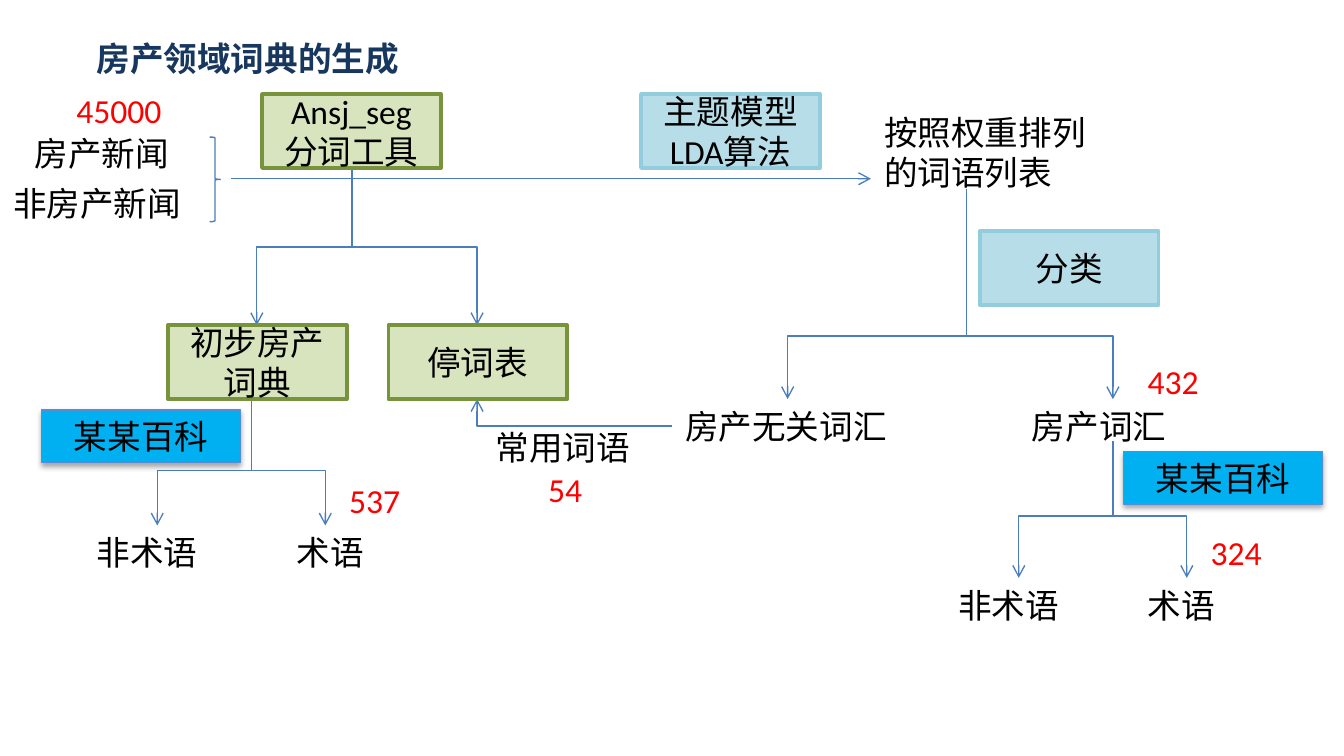
from lxml.etree import SubElement
from pptx import Presentation
from pptx.dml.color import RGBColor
from pptx.enum.shapes import MSO_CONNECTOR as Link, MSO_SHAPE as Preset
from pptx.enum.text import MSO_ANCHOR as Anchor, PP_ALIGN as Align
from pptx.oxml.ns import qn
from pptx.util import Inches, Pt

# All lengths count columns and rows of a square grid, ten columns to a 16:9 slide.
COLUMNS = 10
ROWS = COLUMNS * 9 / 16
CELL = Inches(10) / COLUMNS
LINE_HEIGHT = 0.4
BOX_SIZE, SOURCE_SIZE = (1.33, 0.55), (1.48, 0.39)

COLORS = {
    "title": "17375E", "text": "000000", "count": "FF0000", "link": "4B7EBC",
    "segment": "D7E4BD", "segment_edge": "77933C",
    "topic": "B7DEE8", "topic_edge": "93CDDD",
    "source": "00B0F0", "source_edge": "558ED5",
}
LATIN, CJK = "Calibri", "Noto Sans CJK SC"

TITLE = ("房产领域词典的生成", 0.62, 0.23, 2.47)
LABELS = [  # text, left, top, width, height
    ("房产新闻", 0.16, 0.94, 1.41, LINE_HEIGHT),
    ("非房产新闻", 0, 1.31, 1.8, LINE_HEIGHT),
    ("按照权重排列的词语列表", 6.48, 0.78, 1.8, 0.71),
    ("房产无关词汇", 5, 2.97, 1.8, LINE_HEIGHT),
    ("房产词汇", 7.58, 2.97, 1.41, LINE_HEIGHT),
    ("常用词语", 3.59, 3.13, 1.8, LINE_HEIGHT),
    ("非术语", 0.62, 3.91, 1.09, LINE_HEIGHT),
    ("术语", 2.11, 3.91, 0.86, LINE_HEIGHT),
    ("非术语", 7.03, 4.3, 1.09, LINE_HEIGHT),
    ("术语", 8.44, 4.3, 0.86, LINE_HEIGHT),
]
COUNT_WIDTH = 1.25
COUNTS = [  # text, left, top
    ("45000", 0.47, 0.62),
    ("432", 8.44, 2.64),
    ("54", 3.98, 3.44),
    ("324", 8.91, 3.91),
    ("537", 2.5, 3.52),
]
BOXES = [  # text, left, top, kind
    ("Ansj_seg分词工具", 1.95, 0.7, "segment"),
    ("初步房产词典", 1.25, 2.42, "segment"),
    ("停词表", 2.89, 2.42, "segment"),
    ("主题模型LDA算法", 4.77, 0.7, "topic"),
    ("分类", 7.29, 1.72, "topic"),
    ("某某百科", 8.36, 3.36, "source"),
    ("某某百科", 0.31, 3.05, "source"),
]
NEWS_BRACE = (1.56, 1.02, 0.08, 0.63)
NEWS_TO_LIST = (1.72, 1.33, 6.48, 1.33)
COMMON_TO_STOPWORDS = (5, 3.17, 3.55, 2.97)
FORKS = [  # stem column, bend row, branches (stem top, end column, end row)
    (2.62, 1.84, [(1.25, 1.91, 2.42), (1.25, 3.55, 2.42)]),
    (7.19, 2.5, [(1.41, 5.86, 2.97), (1.48, 8.28, 2.97)]),
    (8.28, 3.84, [(3.37, 7.58, 4.3), (3.28, 8.83, 4.3)]),
    (1.87, 3.5, [(2.97, 1.17, 3.91), (2.97, 2.42, 3.91)]),
]


def grid(*cells):
    return [round(cell * CELL) for cell in cells]


def color(name):
    return RGBColor.from_string(COLORS[name])


def write(shape, text, ink="text", font=LATIN, **formats):
    paragraph = shape.text_frame.paragraphs[0]
    run = paragraph.add_run()
    run.text = text
    run.font.color.rgb = color(ink)
    for key, value in {"name": font, "size": Pt(18), **formats}.items():
        setattr(run.font, key, value)
    SubElement(run.font._element, qn("a:ea"), typeface=CJK)
    return paragraph


def add_label(text, left, top, width, height=LINE_HEIGHT, wrap=True, **formats):
    label = shapes.add_textbox(*grid(left, top, width, height))
    label.text_frame.word_wrap = wrap
    write(label, text, **formats)


def cast_shadow(shape):
    shadow = SubElement(shape._element.spPr.find(qn("a:effectLst")), qn("a:outerShdw"),
                        blurRad=str(Pt(3.1)), dist=str(Pt(1.8)), dir="5400000", rotWithShape="0")
    ink = SubElement(shadow, qn("a:srgbClr"), val="000000")
    SubElement(ink, qn("a:alpha"), val="35000")


def add_box(text, left, top, kind):
    is_source = kind == "source"
    size = SOURCE_SIZE if is_source else BOX_SIZE
    box = shapes.add_shape(Preset.FLOWCHART_PROCESS, *grid(left, top, *size))
    box.shadow.inherit = False
    box.fill.solid()
    box.fill.fore_color.rgb = color(kind)
    box.line.color.rgb = color(kind + "_edge")
    box.line.width = Pt(0.75 if is_source else 2)
    box.text_frame.word_wrap = True
    box.text_frame.vertical_anchor = Anchor.MIDDLE
    write(box, text).alignment = Align.CENTER
    if is_source:
        cast_shadow(box)


def add_arrow(kind, *ends):
    arrow = shapes.add_connector(kind, *grid(*ends))
    arrow.line.color.rgb = color("link")
    arrow.line.width = Pt(0.75)
    SubElement(arrow.line._get_or_add_ln(), qn("a:tailEnd"), type="arrow")
    SubElement(arrow._element.spPr, qn("a:effectLst"))
    return arrow


def turn(arrow, degrees):
    arrow._element.spPr.find(qn("a:xfrm")).set("rot", str(degrees * 60000))


def add_branch(x, bend, y, end_x, end_y):
    """Arrow that runs down, across at the bend row, then down again."""
    middle_x, middle_y = (x + end_x) / 2, (y + end_y) / 2
    half_run, half_rise = (end_y - y) / 2, abs(end_x - x) / 2
    side = 1 if end_x > x else -1
    arrow = add_arrow(Link.ELBOW, middle_x + side * half_run, middle_y - half_rise,
                      middle_x - side * half_run, middle_y + half_rise)
    turn(arrow, 270 if side > 0 else 90)
    share = round((bend - y) / (end_y - y) * 100000)
    guides = arrow._element.spPr.find(qn("a:prstGeom")).get_or_add_avLst()
    SubElement(guides, qn("a:gd"), name="adj1", fmla=f"val {share}")


def add_corner(x, y, end_x, end_y):
    """Arrow that runs left, then up."""
    arrow = add_arrow(Link.ELBOW, end_x, end_y, x, y)
    arrow._element.spPr.find(qn("a:prstGeom")).set("prst", "bentConnector2")
    turn(arrow, 180)


deck = Presentation()
deck.slide_width, deck.slide_height = grid(COLUMNS, ROWS)
shapes = deck.slides.add_slide(deck.slide_layouts[6]).shapes

add_label(*TITLE, wrap=False, ink="title", font=CJK, bold=True)

brace = shapes.add_shape(Preset.RIGHT_BRACE, *grid(*NEWS_BRACE))
brace.shadow.inherit = False
brace.fill.background()
brace.line.color.rgb = color("link")
brace.line.width = Pt(0.75)

add_arrow(Link.STRAIGHT, *NEWS_TO_LIST)
add_corner(*COMMON_TO_STOPWORDS)
for stem_x, bend_y, branches in FORKS:
    for branch in branches:
        add_branch(stem_x, bend_y, *branch)
for box_values in BOXES:
    add_box(*box_values)
for label_values in LABELS:
    add_label(*label_values)
for count_values in COUNTS:
    add_label(*count_values, COUNT_WIDTH, ink="count")

deck.save("out.pptx")
